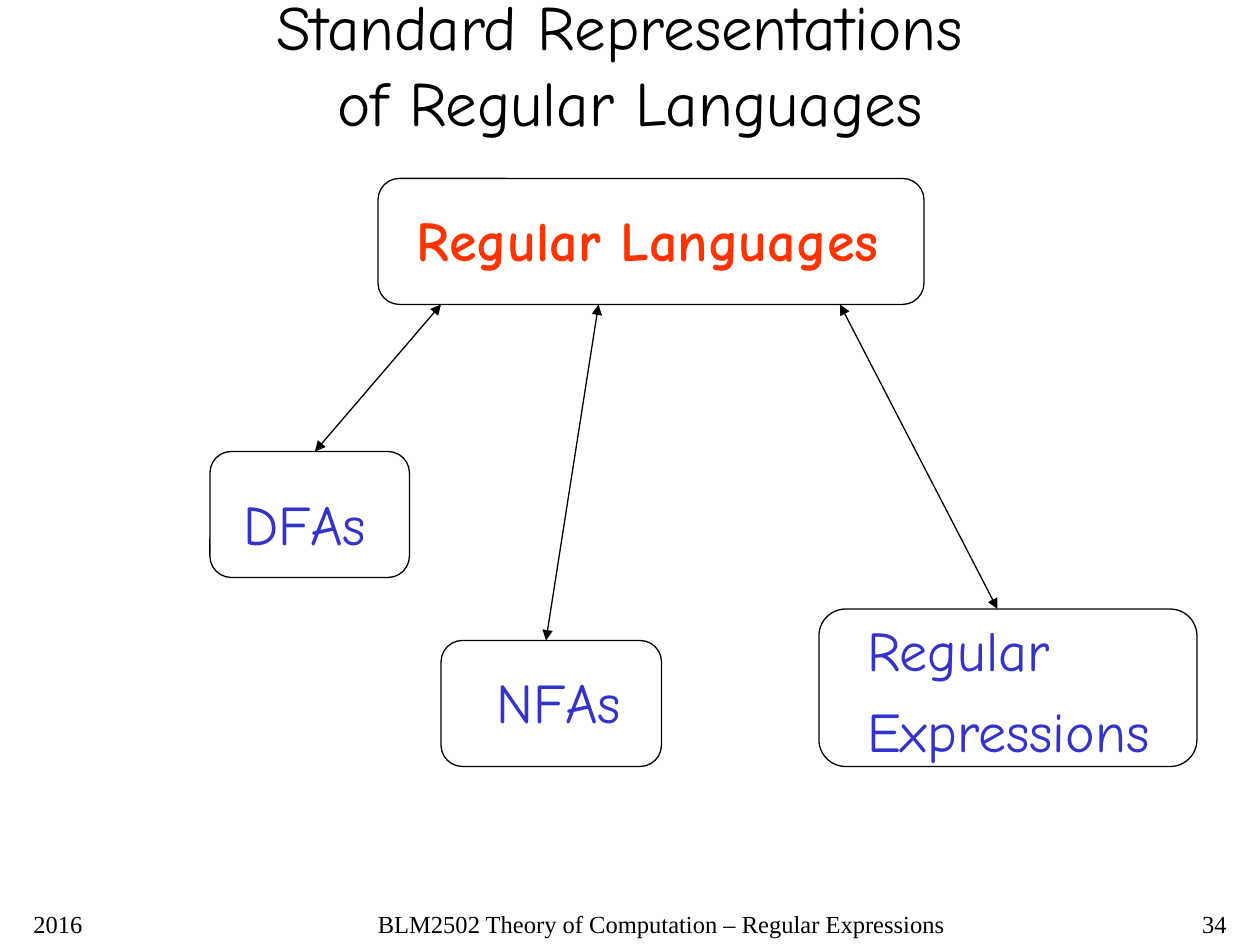
from dataclasses import dataclass

import lxml.etree
import pptx
import pptx.dml.color
import pptx.enum.shapes
import pptx.enum.text
import pptx.oxml.ns
import pptx.util

PX = 7620  # EMU per px, 120 px to the inch
BLACK = pptx.dml.color.RGBColor(0x00, 0x00, 0x00)
RED = pptx.dml.color.RGBColor(0xFF, 0x33, 0x00)
BLUE = pptx.dml.color.RGBColor(0x33, 0x33, 0xCC)
HAND = "Comic Neue"
SERIF = "Times New Roman"
ALIGN = pptx.enum.text.PP_ALIGN
ANCHOR = pptx.enum.text.MSO_ANCHOR
AUTO = pptx.enum.text.MSO_AUTO_SIZE

TITLE = {"name": HAND, "size": pptx.util.Pt(36)}
ROOT = {"name": HAND, "size": pptx.util.Pt(32), "bold": True}
LEAF = {"name": HAND, "size": pptx.util.Pt(32)}
FOOTER = {"name": SERIF, "size": pptx.util.Pt(14)}


@dataclass(frozen=True)
class Rect:
    left: int
    top: int
    width: int
    height: int

    def emu(self) -> list[int]:
        return [side * PX for side in (self.left, self.top, self.width, self.height)]


@dataclass(frozen=True)
class Label:
    rect: Rect
    lines: tuple[str, ...]
    font: dict
    color: pptx.dml.color.RGBColor = BLACK
    align: ALIGN = ALIGN.LEFT
    anchor: ANCHOR = ANCHOR.TOP
    grows: bool = False


@dataclass(frozen=True)
class Arrow:
    start: tuple[int, int]
    end: tuple[int, int]


NODES = [
    Rect(360, 170, 520, 120),
    Rect(200, 430, 190, 120),
    Rect(420, 610, 210, 120),
    Rect(780, 580, 360, 150),
]
ARROWS = [
    Arrow((420, 290), (300, 430)),
    Arrow((570, 290), (520, 610)),
    Arrow((800, 290), (950, 580)),
]
LABELS = [
    # the space before the break shifts the centred first line
    Label(Rect(20, 20, 1160, 80), ("Standard Representations \vof Regular Languages",),
          TITLE, align=ALIGN.CENTER, anchor=ANCHOR.MIDDLE),
    Label(Rect(385, 190, 464, 77), ("Regular Languages",), ROOT, RED, grows=True),
    Label(Rect(220, 460, 142, 77), ("DFAs",), LEAF, BLUE, grows=True),
    Label(Rect(461, 630, 143, 77), ("NFAs",), LEAF, BLUE, grows=True),
    Label(Rect(814, 580, 294, 154), ("Regular", "Expressions"), LEAF, BLUE, grows=True),
    Label(Rect(20, 860, 250, 40), ("2016",), FOOTER),
    Label(Rect(330, 860, 600, 30),
          ("BLM2502 Theory of Computation – Regular Expressions",),
          FOOTER, align=ALIGN.CENTER),
    Label(Rect(930, 860, 250, 40), ("34",), FOOTER, align=ALIGN.RIGHT),
]


def style_line(line) -> None:
    line.color.rgb = BLACK
    line.width = pptx.util.Pt(0.75)


def draw_label(page, label: Label) -> None:
    box = page.shapes.add_textbox(*label.rect.emu())
    frame = box.text_frame
    frame.word_wrap = not label.grows
    frame.auto_size = AUTO.SHAPE_TO_FIT_TEXT if label.grows else AUTO.NONE
    frame.vertical_anchor = label.anchor
    for index, line in enumerate(label.lines):
        para = frame.add_paragraph() if index else frame.paragraphs[0]
        para.text = line
        para.alignment = label.align
        if index:
            para.space_before = pptx.util.Pt(8)
        for span in para.runs:
            for key, value in label.font.items():
                setattr(span.font, key, value)
            span.font.color.rgb = label.color


def draw_node(page, rect: Rect) -> None:
    kind = pptx.enum.shapes.MSO_SHAPE.ROUNDED_RECTANGLE
    node = page.shapes.add_shape(kind, *rect.emu())
    node.adjustments[0] = 0.17
    node.shadow.inherit = False
    node.fill.background()
    style_line(node.line)


def draw_arrow(page, arrow: Arrow) -> None:
    """Draw a straight line with a triangle at both ends."""
    points = [value * PX for value in arrow.start + arrow.end]
    kind = pptx.enum.shapes.MSO_CONNECTOR.STRAIGHT
    connector = page.shapes.add_connector(kind, *points)
    style_line(connector.line)
    qn = pptx.oxml.ns.qn
    properties = connector.element.spPr
    outline = properties.find(qn("a:ln"))
    for tip in ("a:headEnd", "a:tailEnd"):
        lxml.etree.SubElement(outline, qn(tip), type="triangle")
    lxml.etree.SubElement(properties, qn("a:effectLst"))


def main() -> None:
    deck = pptx.Presentation()
    deck.slide_width, deck.slide_height = 1200 * PX, 900 * PX
    page = deck.slides.add_slide(deck.slide_layouts[6])
    for label in LABELS:
        draw_label(page, label)
    for rect in NODES:
        draw_node(page, rect)
    for arrow in ARROWS:
        draw_arrow(page, arrow)
    deck.save("out.pptx")


if __name__ == "__main__":
    main()
